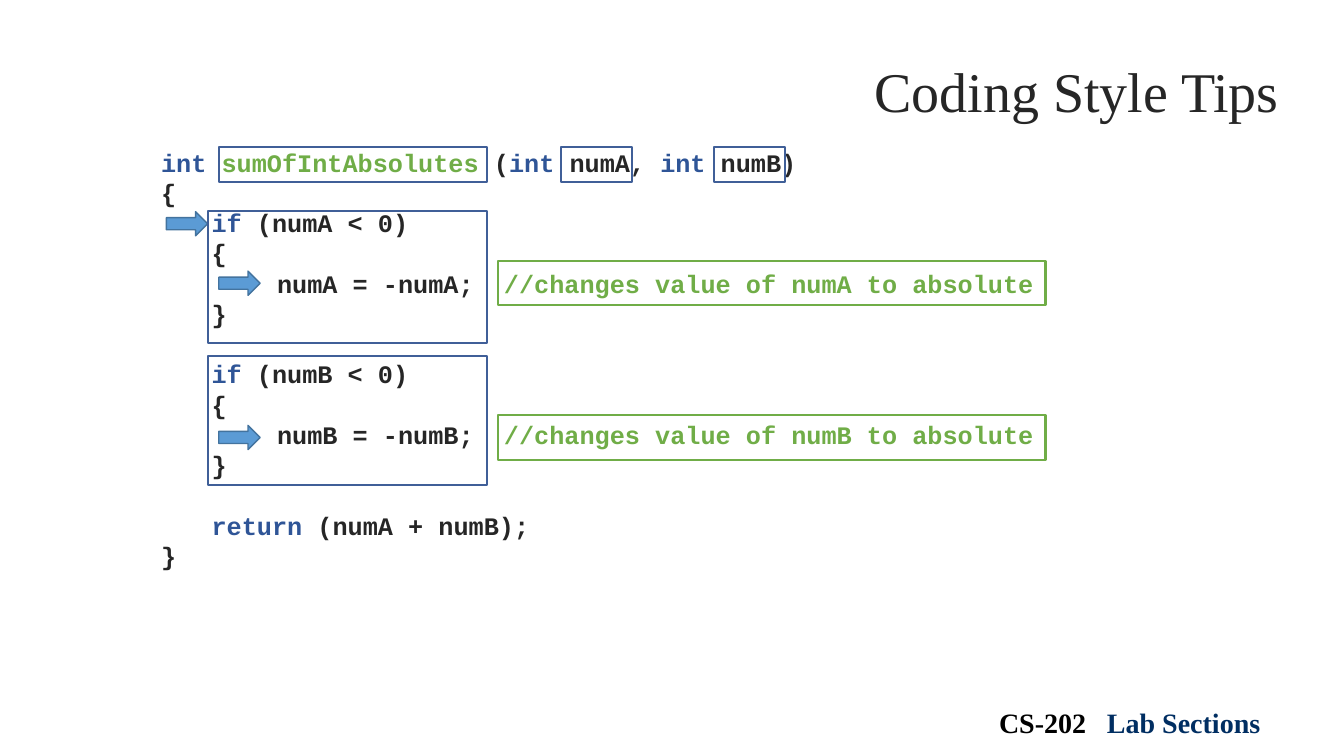
from lxml import etree
from pptx import Presentation
from pptx.dml.color import RGBColor
from pptx.enum.shapes import MSO_SHAPE as Preset
from pptx.enum.text import MSO_ANCHOR as Anchor, PP_ALIGN as Align
from pptx.oxml.ns import qn
from pptx.util import Inches, Pt

COLORS = {
    "dark": "262626",
    "black": "000000",
    "navy": "002E62",
    "keyword": "2F5597",
    "green": "70AD47",
    "frame": "405F98",
    "arrow": "5B9BD5",
    "arrow_edge": "43739E",
}
SERIF, MONO = "Times New Roman", "Courier New"
LINE_PITCH = Pt(21.6)
CODE_TABS = (0.5, 1.15, 3.4)
FOOTER_TABS = (0.32, 1.39)


def color(name):
    """Return the named colour."""
    return RGBColor.from_string(COLORS[name])


def add_text_box(slide, left, top, width, height):
    """Add a wrapping text box and return its text frame."""
    box = slide.shapes.add_textbox(
        Inches(left), Inches(top), Inches(width), Inches(height))
    box.text_frame.word_wrap = True
    return box.text_frame


def add_runs(paragraph, parts, font, size, bold=True):
    """Fill a paragraph with (text, colour name) parts."""
    for text, color_name in parts:
        run = paragraph.add_run()
        run.text = text
        run.font.name = font
        run.font.size = Pt(size)
        run.font.bold = bold
        run.font.color.rgb = color(color_name)


def set_tabs(paragraph, positions):
    """Set left tab stops, given in inches."""
    properties = paragraph._p.get_or_add_pPr()
    tabs = etree.SubElement(properties, qn("a:tabLst"))
    for position in positions:
        etree.SubElement(tabs, qn("a:tab"), pos=str(Inches(position)), algn="l")


def add_title(slide):
    """Add the right-aligned heading."""
    frame = add_text_box(slide, 1.06, 0.57, 11.72, 0.71)
    frame.vertical_anchor = Anchor.BOTTOM
    paragraph = frame.paragraphs[0]
    paragraph.alignment = Align.RIGHT
    add_runs(paragraph, [("Coding Style Tips", "dark")], SERIF, 40, bold=False)


def add_footer(slide):
    """Add the course name at the bottom right."""
    paragraph = add_text_box(slide, 9.49, 6.95, 3.44, 0.44).paragraphs[0]
    set_tabs(paragraph, FOOTER_TABS)
    add_runs(paragraph, [("\tCS-202", "black"), ("\tLab Sections", "navy")],
             SERIF, 20)


def if_block(name):
    """Return the code lines that make one variable absolute."""
    return [
        [("\tif ", "keyword"), (f"({name} < 0)", "dark")],
        [("\t{", "dark")],
        [(f"\t\t{name} = -{name};", "dark"),
         (f"\t//changes value of {name} to absolute", "green")],
        [("\t}", "dark")],
    ]


def add_code(slide):
    """Add the code listing, with a line's gap between its blocks."""
    signature = [
        ("int ", "keyword"), ("sumOfIntAbsolutes ", "green"), ("(", "dark"),
        ("int ", "keyword"), ("numA, ", "dark"),
        ("int ", "keyword"), ("numB)", "dark"),
    ]
    ending = [[("\treturn", "keyword"), (" (numA + numB);", "dark")],
              [("}", "dark")]]
    blocks = [[signature, [("{", "dark")]] + if_block("numA"),
              if_block("numB"), ending]

    frame = add_text_box(slide, 1.5, 1.41, 11.43, 5.54)
    paragraph = frame.paragraphs[0]
    for block_index, block in enumerate(blocks):
        for line_index, line in enumerate(block):
            if block_index or line_index:
                paragraph = frame.add_paragraph()
            paragraph.line_spacing = LINE_PITCH
            if block_index and line_index == 0:
                paragraph.space_before = LINE_PITCH
            set_tabs(paragraph, CODE_TABS)
            add_runs(paragraph, line, MONO, 18)


def add_marker(slide, preset, bounds, line, weight, fill=None):
    """Add an outlined shape, unfilled unless a fill is named."""
    shape = slide.shapes.add_shape(preset, *map(Inches, bounds))
    shape.shadow.inherit = False
    shape.line.color.rgb = color(line)
    shape.line.width = Pt(weight)
    if fill:
        shape.fill.solid()
        shape.fill.fore_color.rgb = color(fill)
    else:
        shape.fill.background()


def add_frame(slide, bounds, line="frame"):
    """Frame a part of the code."""
    add_marker(slide, Preset.RECTANGLE, bounds, line, 1.5)


def add_indent_arrow(slide, left, top):
    """Point at an indentation."""
    add_marker(slide, Preset.RIGHT_ARROW, (left, top, 0.41, 0.24),
               "arrow_edge", 1, "arrow")


def main():
    """Build and save the slide."""
    presentation = Presentation()
    presentation.slide_width = Inches(13.33)
    presentation.slide_height = Inches(7.5)
    slide = presentation.slides.add_slide(presentation.slide_layouts[6])

    add_title(slide)
    add_footer(slide)
    add_code(slide)
    for left, top in ((1.65, 2.1), (2.17, 2.69), (2.17, 4.22)):
        add_indent_arrow(slide, left, top)
    for left, width in ((2.17, 2.66), (5.56, 0.71), (7.08, 0.71)):
        add_frame(slide, (left, 1.46, width, 0.35))
    for top, height in ((2.09, 1.31), (3.53, 1.28)):
        add_frame(slide, (2.06, top, 2.77, height))
    for top in (2.59, 4.12):
        add_frame(slide, (4.94, top, 5.43, 0.44), "green")

    presentation.save("out.pptx")


main()
